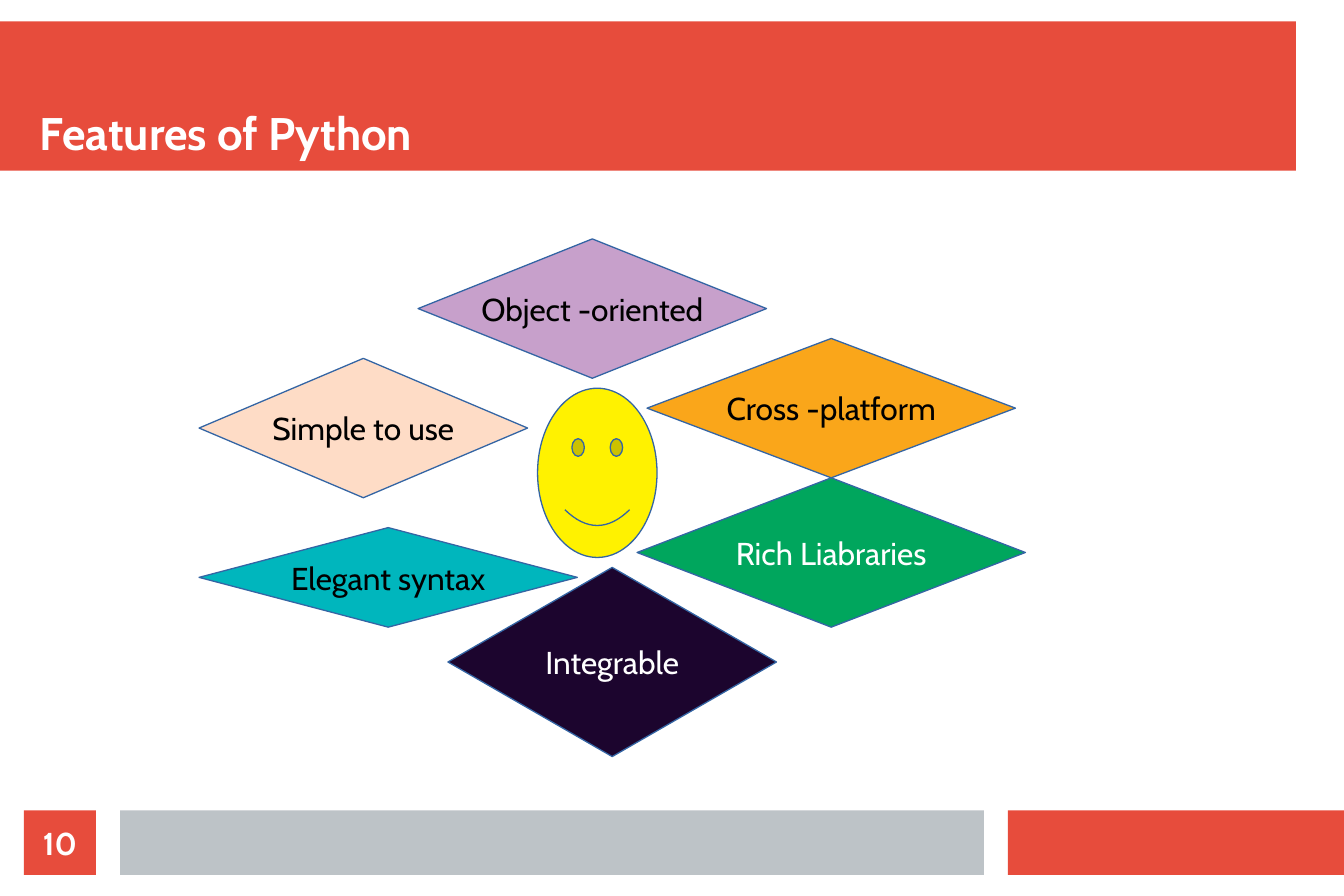
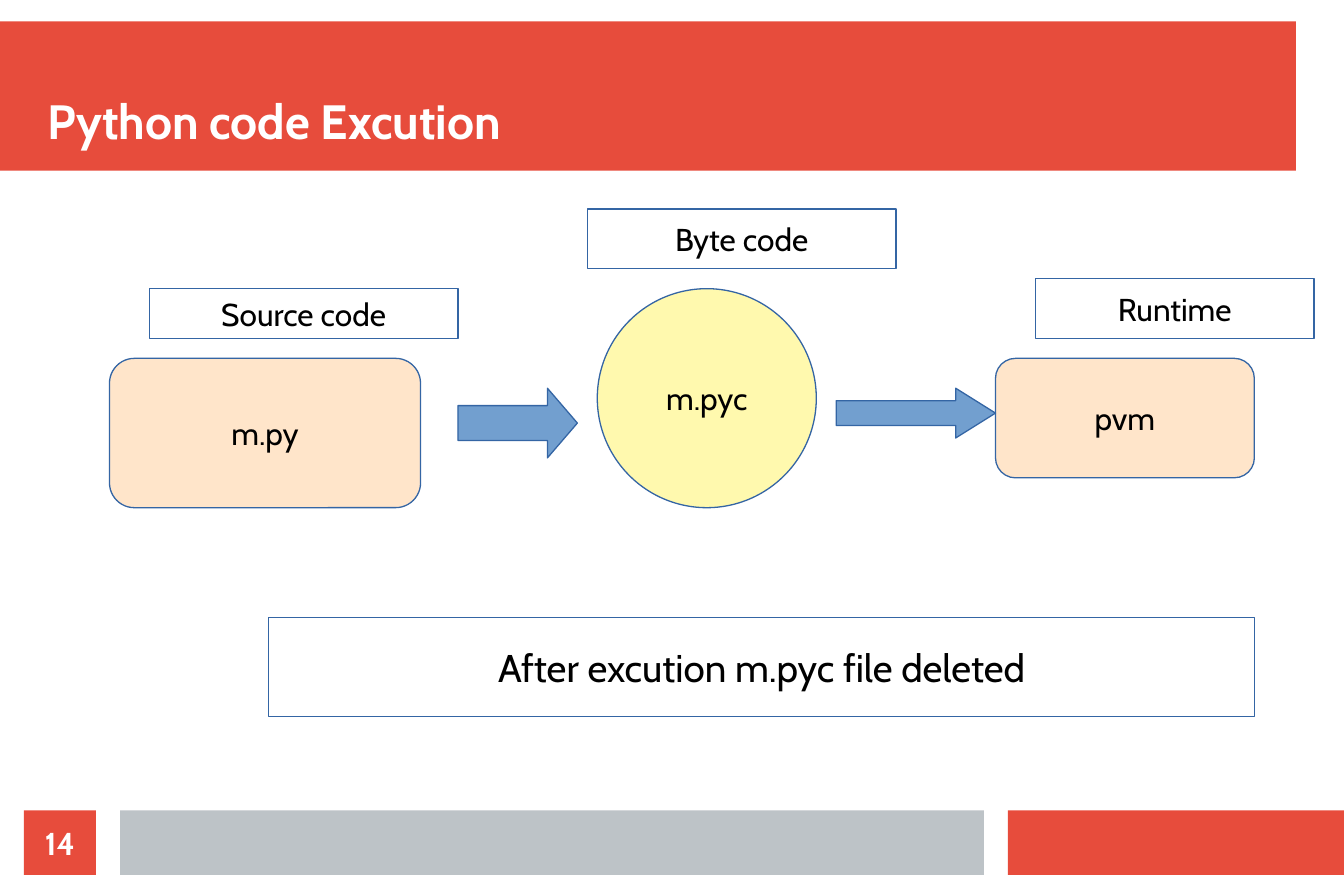
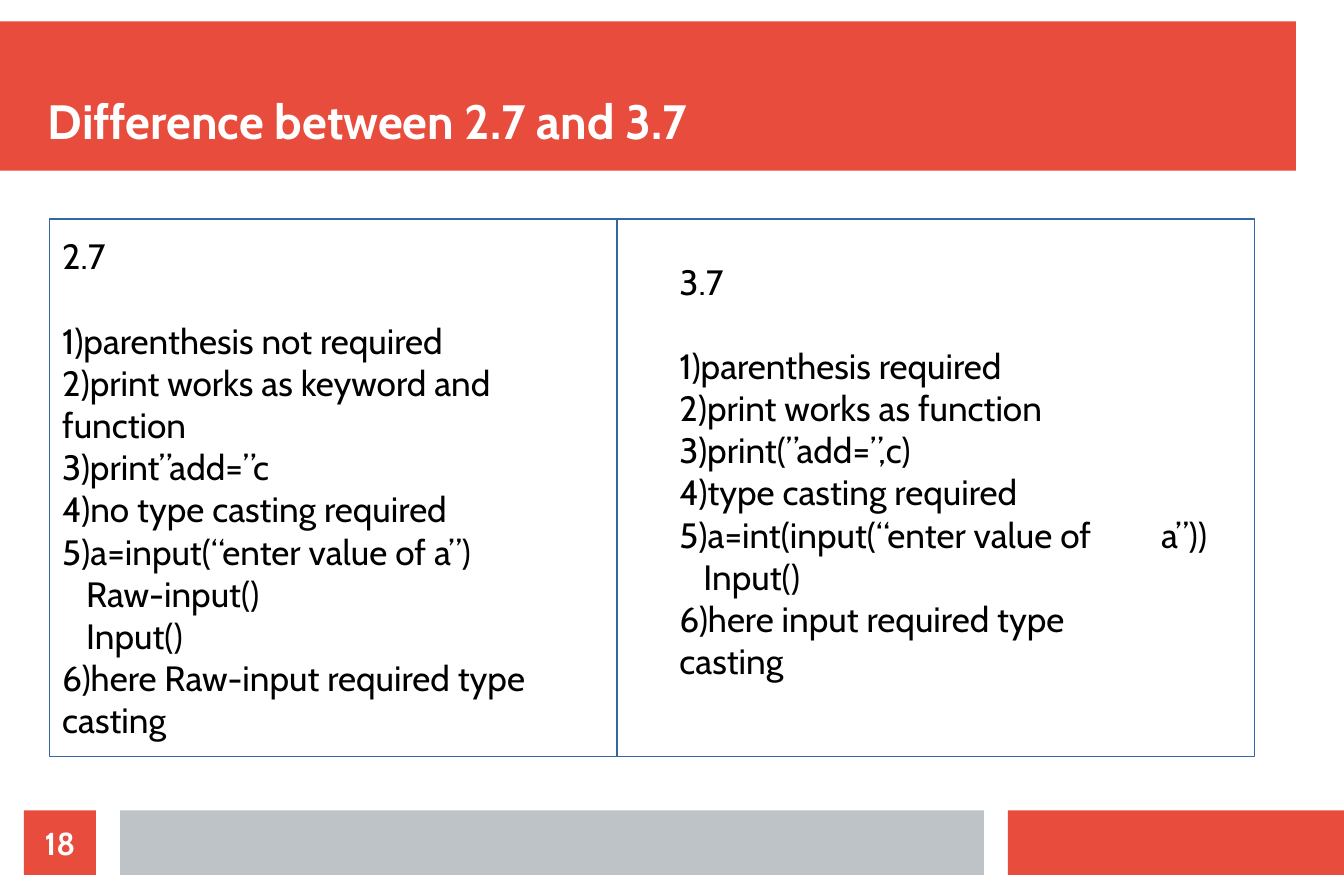
from lxml import etree
from pptx import Presentation
from pptx.dml.color import RGBColor
from pptx.enum.shapes import MSO_SHAPE
from pptx.enum.text import MSO_ANCHOR, MSO_AUTO_SIZE, PP_ALIGN
from pptx.oxml.ns import qn
from pptx.util import Cm, Inches, Pt

RECT, ROUND, OVAL = MSO_SHAPE.RECTANGLE, MSO_SHAPE.ROUNDED_RECTANGLE, MSO_SHAPE.OVAL
DIAMOND, ARROW, SMILEY = MSO_SHAPE.DIAMOND, MSO_SHAPE.RIGHT_ARROW, MSO_SHAPE.SMILEY_FACE
LEFT, CENTER = PP_ALIGN.LEFT, PP_ALIGN.CENTER
TOP, MIDDLE, BOTTOM = MSO_ANCHOR.TOP, MSO_ANCHOR.MIDDLE, MSO_ANCHOR.BOTTOM

FONT = "Cabin"
COLORS = {
    "red": "E74C3C", "grey": "BDC3C7", "white": "FFFFFF", "black": "000000",
    "outline": "3465A4", "arrow": "729FCF", "yellow": "FFF200", "lilac": "C7A0CB",
    "orange": "FAA61A", "green": "00A65D", "peach": "FEDCC6", "teal": "00B6BD",
    "night": "1C052E", "sand": "FFE5CA", "cream": "FFF9AE",
}

# The slide is a grid of 135 columns by 90 rows; the bands use 56 wide columns.
COLS, ROWS = 135, 90
CELL = Cm(0.2)
BAND_COL = COLS / 56
FOOTER_TOP, FOOTER_H = 81.4, 6.5


def add_box(slide, kind, box, fill, line="outline"):
    """Add a flat preset shape; box is left, top, width, height in grid cells."""
    sp = slide.shapes.add_shape(kind, *(round(v * CELL) for v in box))
    sp.shadow.inherit = False
    sp.fill.solid()
    sp.fill.fore_color.rgb = RGBColor.from_string(COLORS[fill])
    if line:
        sp.line.color.rgb = RGBColor.from_string(COLORS[line])
        sp.line.width = Pt(0)
    else:
        sp.line.fill.background()
    return sp


def write(sp, lines, size=18, color="black", align=CENTER, anchor=MIDDLE,
          bold=False, wrap=False, inset=True):
    tf = sp.text_frame
    tf.text = "\n".join(lines)
    tf.word_wrap, tf.vertical_anchor = wrap, anchor
    tf.auto_size = MSO_AUTO_SIZE.NONE
    if not inset:
        tf.margin_left = tf.margin_top = tf.margin_right = tf.margin_bottom = 0
    for p in tf.paragraphs:
        p.alignment = align
        p.font.name, p.font.size, p.font.bold = FONT, Pt(size), bold
        p.font.color.rgb = RGBColor.from_string(COLORS[color])
    return tf


prs = Presentation()
prs.slide_width, prs.slide_height = COLS * CELL, ROWS * CELL
layout = prs.slide_layouts[5]
for ph in list(layout.placeholders):
    if ph.placeholder_format.idx:
        ph.element.getparent().remove(ph.element)

# Title, number, and title left, top and size
slides = []
for title, number, left, top, size in [
    ("Features of Python", "10", 4, 5.33, 26),
    ("Python code Excution", "14", 4.8, 4.33, 27.4),
    ("Difference between 2.7 and 3.7", "18", 4.8, 4.33, 27.4),
]:
    slide = prs.slides.add_slide(layout)
    slides.append(slide)
    ph = slide.shapes.title
    ph.left, ph.top = round(left * CELL), round(top * CELL)
    ph.width, ph.height = round(125.4 * CELL), round(10.67 * CELL)
    write(ph, [title], size, "white", LEFT, BOTTOM, bold=True, wrap=True, inset=False)

    if len(slides) == 1:
        # The bands are drawn once and moved to the layout all slides share
        bands = [
            add_box(slide, RECT, (col * BAND_COL, y, span * BAND_COL, h), fill, None)
            for col, y, span, h, fill in [
                (0, 2.16, 54, 15, "red"),
                (42, FOOTER_TOP, 14, FOOTER_H, "red"),
                (5, FOOTER_TOP, 36, FOOTER_H, "grey"),
            ]
        ]
        for band in bands:
            layout.shapes.element.append(band.element)

    sp = add_box(slide, RECT, (BAND_COL, FOOTER_TOP, 3 * BAND_COL, FOOTER_H), "red", None)
    write(sp, [number], color="white", bold=True, wrap=True, inset=False)

features, execution, difference = slides

# Features of Python
smiley = add_box(features, SMILEY, (54, 39, 12, 17), "yellow")
smiley.adjustments[0] = 0.09
for text, box, fill, color in [
    ("Object -oriented", (42, 24, 35, 14), "lilac", "black"),
    ("Cross -platform", (65, 34, 37, 14), "orange", "black"),
    ("Rich Liabraries", (64, 48, 39, 15), "green", "white"),
    ("Simple to use", (20, 36, 33, 14), "peach", "black"),
    ("Elegant syntax", (20, 53, 38, 10), "teal", "black"),
    ("Integrable", (45, 57, 33, 19), "night", "white"),
]:
    write(add_box(features, DIAMOND, box, fill), [text], color=color)

# Python code execution
for text, kind, box, fill, size in [
    ("m.py", ROUND, (11, 36, 31.25, 15), "sand", 18),
    ("m.pyc", OVAL, (60, 29, 22, 22), "cream", 18),
    ("pvm", ROUND, (100, 36, 26, 12), "sand", 18),
    ("Source code", RECT, (15, 29, 31, 5), "white", 18),
    ("Byte code", RECT, (59, 21, 31, 6), "white", 18),
    ("Runtime", RECT, (104, 28, 28, 6), "white", 18),
    ("After excution m.pyc file deleted", RECT, (27, 62, 99, 10), "white", 22),
]:
    write(add_box(execution, kind, box, fill), [text], size)
for box, head in [((46, 39, 12, 7), 0.43), ((84, 39, 16, 5), 0.8)]:
    arrow = add_box(execution, ARROW, box, "arrow")
    arrow.adjustments[1] = head

# Difference between 2.7 and 3.7
old_panel = add_box(difference, RECT, (5, 22, 57, 54), "white")
add_box(difference, RECT, (62, 22, 64, 54), "white")
new_text = difference.shapes.add_textbox(
    *(round(v * CELL) for v in (67, 25.5, 59, 50)))
for sp, anchor, lines in [
    (old_panel, MIDDLE, [
        "2.7",
        "1)parenthesis not required",
        "2)print works as keyword and",
        "function",
        "3)print”add=”c",
        "4)no type casting required",
        "5)a=input(“enter value of a”)",
        "Raw-input()",
        "Input()",
        "6)here Raw-input required type",
        "casting",
    ]),
    (new_text, TOP, [
        "3.7",
        "1)parenthesis required",
        "2)print works as function",
        "3)print(”add=”,c)",
        "4)type casting required",
        "5)a=int(input(“enter value of\ta”))",
        "Input()",
        "6)here input required type",
        "casting",
    ]),
]:
    tf = write(sp, lines, 20, align=LEFT, anchor=anchor, wrap=True)
    tf.paragraphs[1].space_before = Pt(24)
    for p in tf.paragraphs:
        pPr = p._p.get_or_add_pPr()
        if p.text.endswith("nput()"):
            pPr.set("marL", str(Inches(0.19)))
        if "\t" in p.text:
            tabs = etree.Element(qn("a:tabLst"))
            etree.SubElement(tabs, qn("a:tab"), pos=str(Inches(3.81)), algn="l")
            pPr.find(qn("a:defRPr")).addprevious(tabs)

prs.save("out.pptx")
